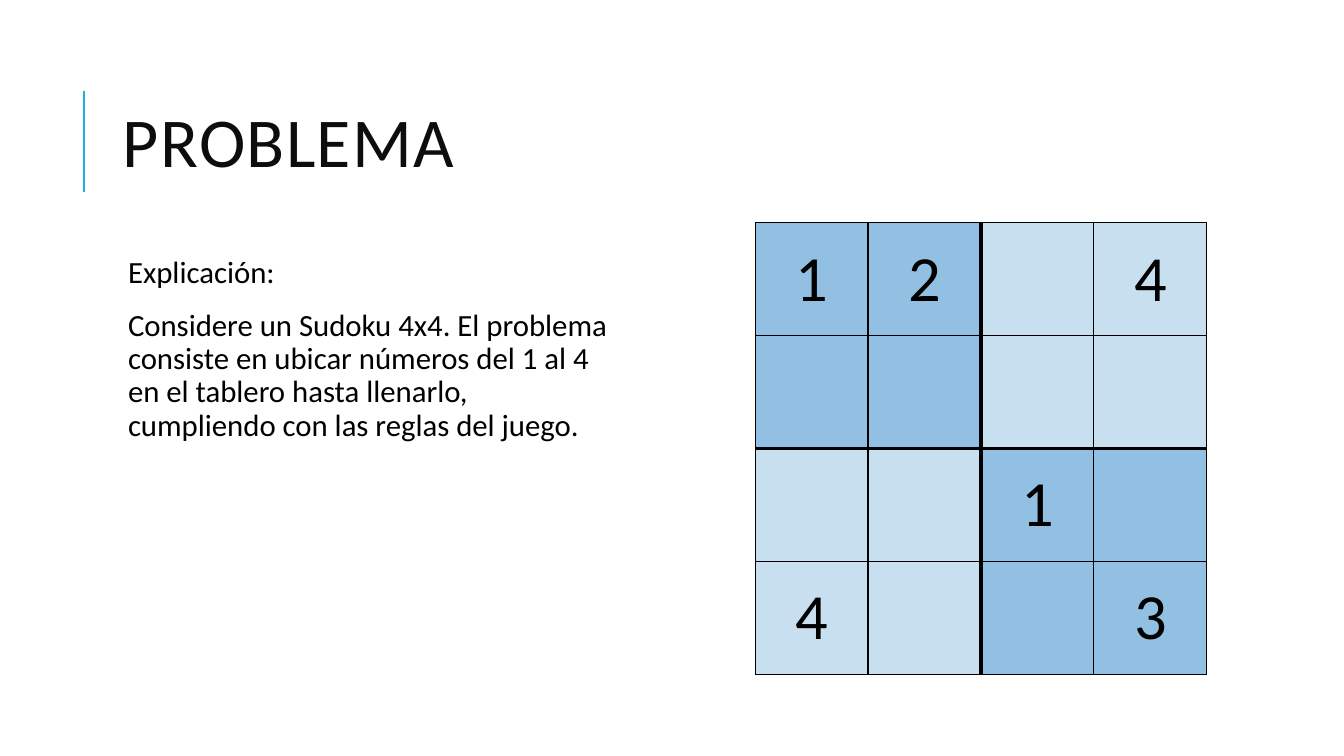
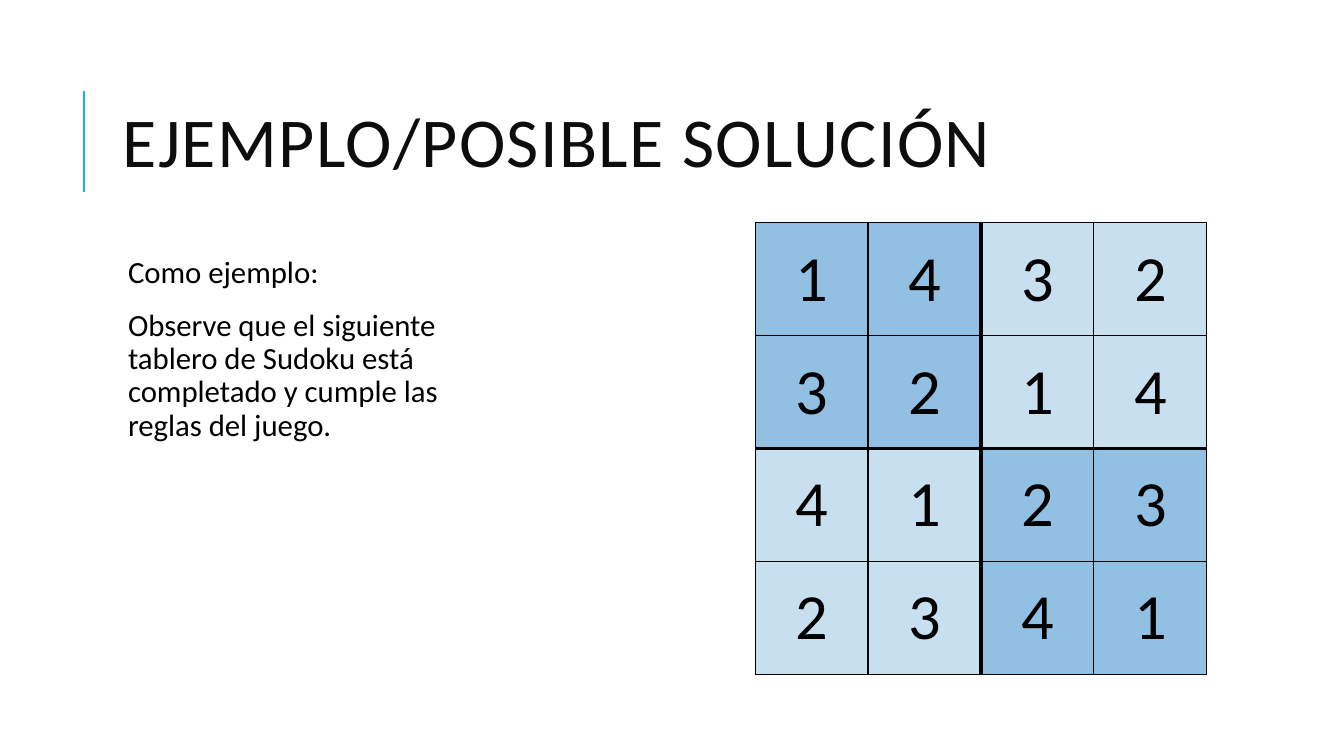
from lxml.etree import SubElement
from pptx import Presentation
from pptx.dml.color import RGBColor
from pptx.enum.shapes import MSO_CONNECTOR
from pptx.enum.text import MSO_ANCHOR, PP_ALIGN
from pptx.oxml import parse_xml
from pptx.oxml.ns import nsdecls, qn
from pptx.util import Inches, Pt

FONT = "Calibri"
COLORS = {"accent": "1CADE4", "title": "0D0D0D", "text": "000000", "cell": "2683C6"}

SLIDES = [
    {
        "title": "PROBLEMA",
        "body": [
            "Explicación:",
            "Considere un Sudoku 4x4. El problema consiste en ubicar números del 1 al 4 "
            "en el tablero hasta llenarlo, cumpliendo con las reglas del juego.",
        ],
        "body_width": 5.1,
        "board": ["12 4", "    ", "  1 ", "4  3"],
    },
    {
        "title": "EJEMPLO/POSIBLE SOLUCIÓN",
        "body": [
            "Como ejemplo:",
            "Observe que el siguiente tablero de Sudoku está completado y cumple "
            "las reglas del juego.",
        ],
        "body_width": 3.5,
        "board": ["1432", "3214", "4123", "2341"],
    },
]

# Layout in inches
TEXT_LEFT = 1.12
BOARD_LEFT, BOARD_TOP, CELL_SIZE = 7.49, 2.21, 1.12
BLOCK = 2  # cells on each side of a Sudoku block
ALPHA = (50, 25)  # fill opacity, alternating from block to block
THIN, THICK = 1, 3


def style_runs(paragraph, size, color):
    for run in paragraph.runs:
        run.font.name = FONT
        run.font.size = Pt(size)
        run.font.color.rgb = RGBColor.from_string(COLORS[color])


def add_text(slide, box, lines, size, color, line_spacing):
    shape = slide.shapes.add_textbox(*map(Inches, box))
    frame = shape.text_frame
    frame.word_wrap = True
    frame.text = "\n".join(lines)
    for paragraph in frame.paragraphs:
        paragraph.line_spacing = line_spacing
        style_runs(paragraph, size, color)
    return frame


def add_title(slide, title):
    # Accent line beside the title
    line = slide.shapes.add_connector(
        MSO_CONNECTOR.STRAIGHT, *map(Inches, (0.83, 1.9, 0.83, 0.9)))
    line.line.color.rgb = RGBColor.from_string(COLORS["accent"])
    line.line.width = Pt(1.5)
    SubElement(line._element.spPr, qn("a:effectLst"))

    frame = add_text(slide, (TEXT_LEFT, 0.64, 10.63, 1.64), [title], 50, "title", 0.8)
    frame.vertical_anchor = MSO_ANCHOR.MIDDLE
    frame.paragraphs[0].runs[0].font._element.set("spc", "100")


def add_body(slide, lines, width):
    frame = add_text(slide, (TEXT_LEFT, 2.5, width, 4.4), lines, 22, "text", 0.9)
    frame.margin_left = Inches(0.15)
    frame.margin_right = frame.margin_top = frame.margin_bottom = Inches(0.05)
    for paragraph in frame.paragraphs:
        paragraph.space_before, paragraph.space_after = Pt(12), Pt(2)


def set_borders(cell, widths):
    for position, (side, width) in enumerate(widths.items()):
        border = parse_xml(
            f'<a:ln{side} {nsdecls("a")} w="{Pt(width)}"><a:solidFill>'
            f'<a:srgbClr val="{COLORS["text"]}"/></a:solidFill></a:ln{side}>')
        cell._tc.get_or_add_tcPr().insert(position, border)


def edge_width(index, count):
    """Lines between blocks are thick; all others are thin."""
    return THICK if 0 < index < count and index % BLOCK == 0 else THIN


def add_board(slide, board):
    count = len(board)
    side = Inches(CELL_SIZE * count)
    table = slide.shapes.add_table(
        count, count, Inches(BOARD_LEFT), Inches(BOARD_TOP), side, side).table
    table.first_row = table.horz_banding = False
    for row, digits in enumerate(board):
        for column, digit in enumerate(digits):
            cell = table.cell(row, column)
            cell.vertical_anchor = MSO_ANCHOR.MIDDLE
            cell.margin_left = cell.margin_right = Inches(0.12)
            cell.margin_top = cell.margin_bottom = 0
            cell.text = digit.strip()
            paragraph = cell.text_frame.paragraphs[0]
            paragraph.alignment = PP_ALIGN.CENTER
            style_runs(paragraph, 46, "text")

            # Translucent fill, shared by the cells of a block
            cell.fill.solid()
            cell.fill.fore_color.rgb = RGBColor.from_string(COLORS["cell"])
            opacity = ALPHA[(row // BLOCK + column // BLOCK) % 2]
            color = cell._tc.tcPr.find(".//" + qn("a:srgbClr"))
            SubElement(color, qn("a:alpha"), val=str(opacity * 1000))
            set_borders(cell, {
                "L": edge_width(column, count), "R": edge_width(column + 1, count),
                "T": edge_width(row, count), "B": edge_width(row + 1, count)})


def main():
    presentation = Presentation()
    presentation.slide_width = Inches(13.33)
    presentation.slide_height = Inches(7.5)
    for content in SLIDES:
        slide = presentation.slides.add_slide(presentation.slide_layouts[6])
        add_title(slide, content["title"])
        add_body(slide, content["body"], content["body_width"])
        add_board(slide, content["board"])
    presentation.save("out.pptx")


if __name__ == "__main__":
    main()
